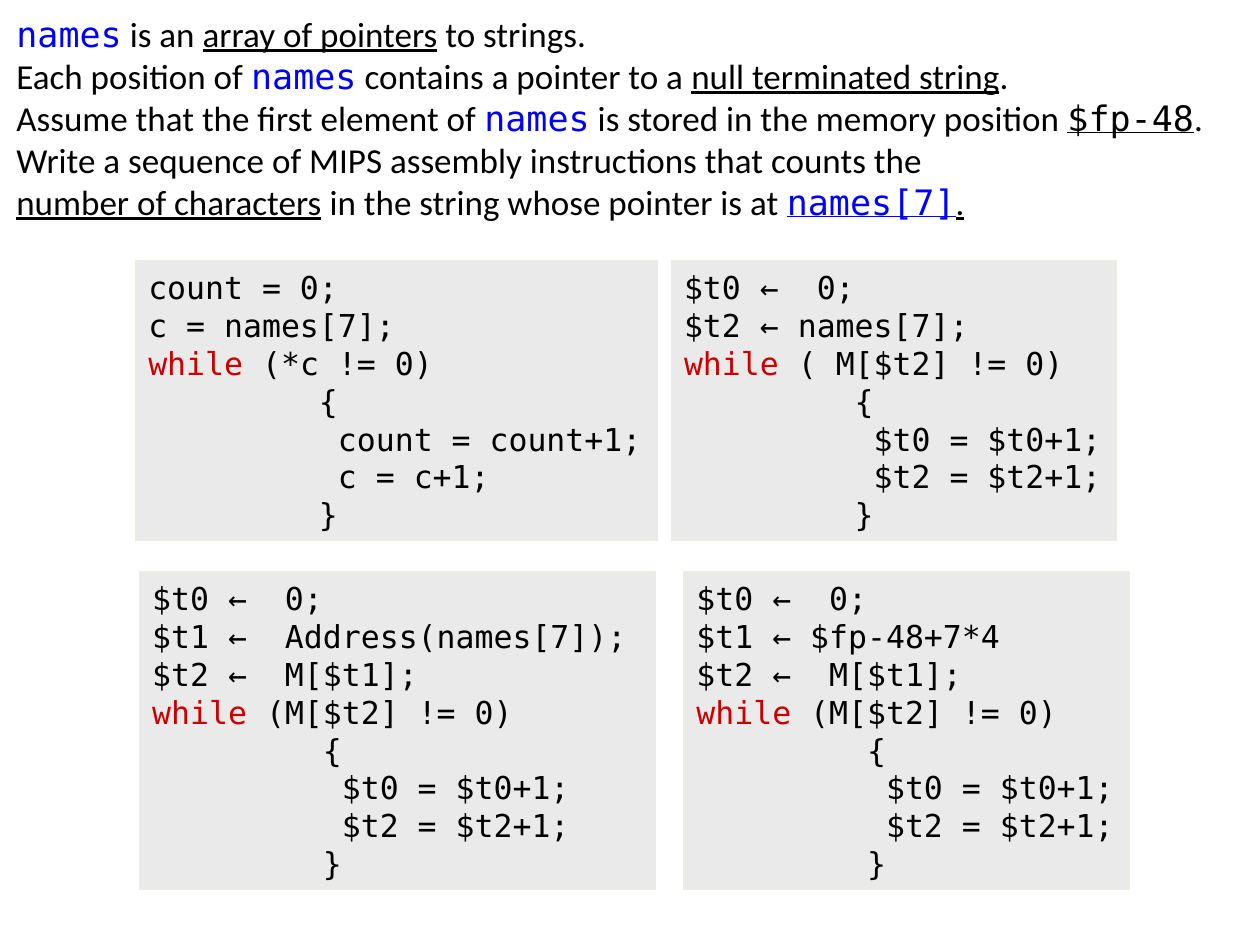
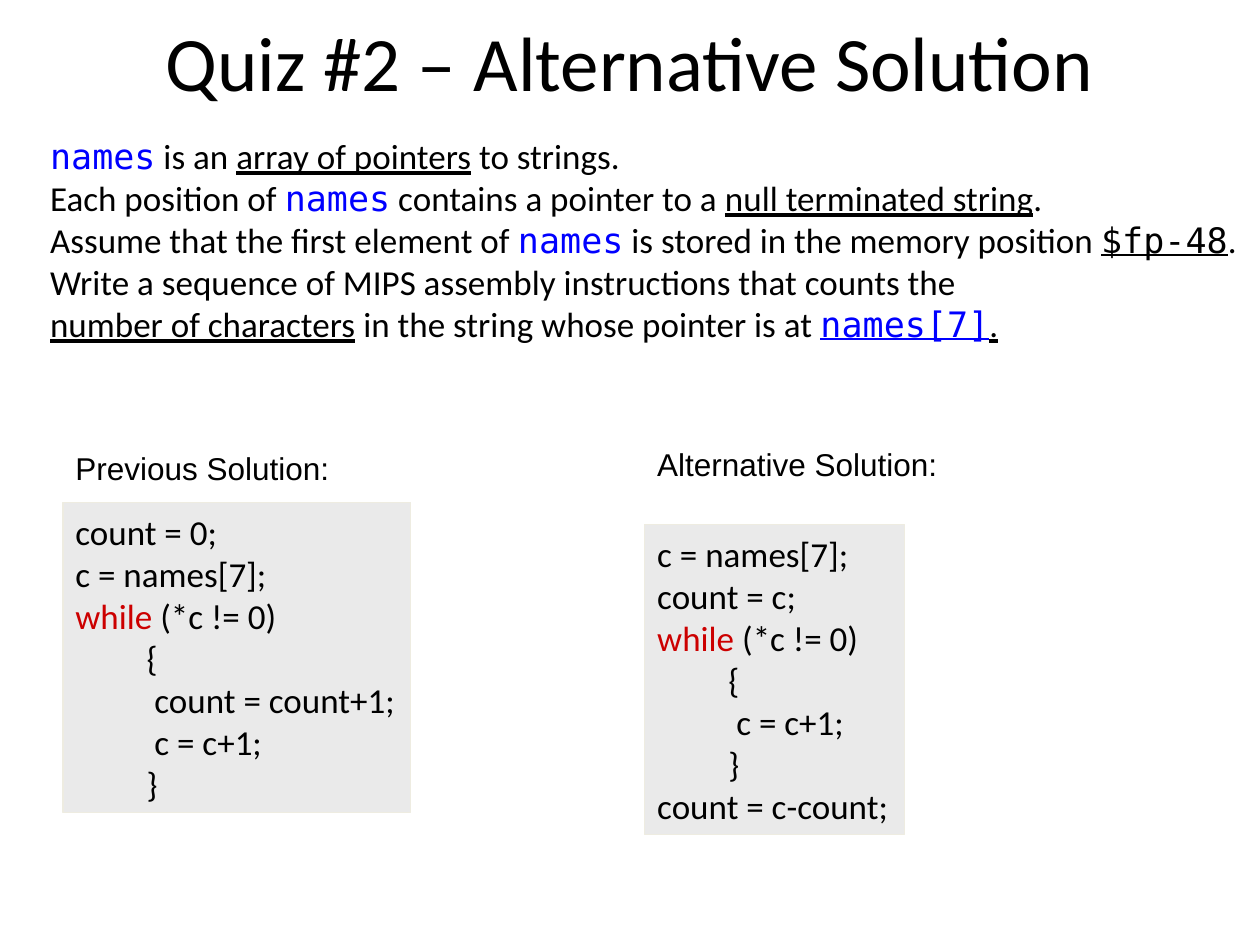
from pptx import Presentation
from pptx.dml.color import RGBColor
from pptx.enum.shapes import MSO_SHAPE
from pptx.enum.text import MSO_ANCHOR, MSO_AUTO_SIZE, PP_ALIGN
from pptx.util import Cm, Pt

BLACK = RGBColor(0x00, 0x00, 0x00)
BLUE = RGBColor(0x00, 0x00, 0xFF)
RED = RGBColor(0xCC, 0x00, 0x00)
PANEL_GREY = RGBColor(0xEA, 0xEA, 0xEA)
PANEL_EDGE = RGBColor(0xEE, 0xEC, 0xE1)
SANS, MONO, LABEL_FONT = "Calibri", "DejaVu Sans Mono", "Arial"

PLAIN = (SANS, BLACK, False)
STRESSED = (SANS, BLACK, True)
VARIABLE = (MONO, BLUE, False)
STRESSED_VARIABLE = (MONO, BLUE, True)
ADDRESS = (MONO, BLACK, True)

QUESTION = [
    [("names", VARIABLE), (" is an ", PLAIN), ("array of pointers", STRESSED),
     (" to strings.", PLAIN)],
    [("Each position of ", PLAIN), ("names", VARIABLE),
     (" contains a pointer to a ", PLAIN), ("null terminated string", STRESSED),
     (".", PLAIN)],
    [("Assume that the first element of ", PLAIN), ("names", VARIABLE),
     (" is stored in the memory position ", PLAIN), ("$fp-48", ADDRESS),
     (".", PLAIN)],
    [("Write a sequence of MIPS assembly instructions that counts the", PLAIN)],
    [("number of characters", STRESSED),
     (" in the string whose pointer is at ", PLAIN),
     ("names[7]", STRESSED_VARIABLE), (".", STRESSED)],
]

KEYWORD = "while"
OPEN, CLOSE = " " * 9 + "{", " " * 9 + "}"
BODY_INDENT = " " * 10


def loop(condition, *body):
    return [condition, OPEN, *(BODY_INDENT + step for step in body), CLOSE]


C_LOOP = loop("while (*c != 0)", "count = count+1;", "c = c+1;")
REGISTER_STEPS = ("$t0 = $t0+1;", "$t2 = $t2+1;")
REGISTER_LOOP = loop("while (M[$t2] != 0)", *REGISTER_STEPS)

C_CODE = ["count = 0;", "c = names[7];", *C_LOOP]
REGISTER_CODE = ["$t0 ←  0;", "$t2 ← names[7];",
                 *loop("while ( M[$t2] != 0)", *REGISTER_STEPS)]
ADDRESS_CODE = ["$t0 ←  0;", "$t1 ←  Address(names[7]);", "$t2 ←  M[$t1];",
                *REGISTER_LOOP]
OFFSET_CODE = ["$t0 ←  0;", "$t1 ← $fp-48+7*4", "$t2 ←  M[$t1];",
               *REGISTER_LOOP]
ALTERNATIVE_CODE = ["c = names[7];", "count = c;",
                    *loop("while (*c != 0)", "c = c+1;"), "count = c-count;"]

REFINEMENTS = [
    (5.26, 5.64, [(2.74, 10.52, C_CODE), (13.54, 8.97, REGISTER_CODE)]),
    (11.53, 6.4, [(2.82, 10.39, ADDRESS_CODE), (13.79, 8.97, OFFSET_CODE)]),
]
SOLUTIONS = [
    ("Previous Solution:", 1.27, 8.92, 5.69, 10.13, 7.01, C_CODE),
    ("Alternative Solution:", 13, 8.84, 6.25, 10.57, 5.23, ALTERNATIVE_CODE),
]
SOLUTION_HEIGHT = 6.25
TITLE = "Quiz #2 – Alternative Solution"


def fit_to_text(frame, anchor):
    frame.word_wrap = False
    frame.auto_size = MSO_AUTO_SIZE.SHAPE_TO_FIT_TEXT
    frame.vertical_anchor = anchor


def paragraphs(frame, lines):
    for number, line in enumerate(lines):
        yield (frame.add_paragraph() if number else frame.paragraphs[0]), line


def add_run(paragraph, text, color):
    run = paragraph.add_run()
    run.text = text
    run.font.color.rgb = color
    return run


def add_question(slide, left, top):
    question = slide.shapes.add_textbox(Cm(left), Cm(top), Cm(24.66), Cm(4.52))
    fit_to_text(question.text_frame, MSO_ANCHOR.MIDDLE)
    for paragraph, line in paragraphs(question.text_frame, QUESTION):
        paragraph.font.size = Pt(20)
        for text, (font, color, underlined) in line:
            run = add_run(paragraph, text, color)
            run.font.name = font
            run.font.underline = underlined


def add_code(slide, left, top, width, height, code, font, size):
    panel = slide.shapes.add_shape(
        MSO_SHAPE.RECTANGLE, Cm(left), Cm(top), Cm(width), Cm(height))
    panel.shadow.inherit = False
    panel.fill.solid()
    panel.fill.fore_color.rgb = PANEL_GREY
    panel.line.color.rgb = PANEL_EDGE
    panel.line.width = Pt(0.75)
    fit_to_text(panel.text_frame, MSO_ANCHOR.MIDDLE)
    for paragraph, line in paragraphs(panel.text_frame, code):
        hanging = paragraph._p.get_or_add_pPr()
        hanging.set("marL", str(Cm(1.27)))
        hanging.set("indent", str(-Cm(1.27)))
        paragraph.alignment = PP_ALIGN.LEFT
        paragraph.font.name = font
        paragraph.font.size = Pt(size)
        if line.startswith(KEYWORD):
            add_run(paragraph, KEYWORD, RED)
            line = line.removeprefix(KEYWORD)
        add_run(paragraph, line, BLACK)


def add_label(slide, text, left, top, width):
    label = slide.shapes.add_textbox(Cm(left), Cm(top), Cm(width), Cm(1.02))
    fit_to_text(label.text_frame, MSO_ANCHOR.TOP)
    paragraph = label.text_frame.paragraphs[0]
    paragraph.text = text
    paragraph.font.name = LABEL_FONT
    paragraph.font.size = Pt(18)
    paragraph.font.color.rgb = BLACK


def add_title(slide):
    title = slide.shapes.title
    title.left, title.top = Cm(1.27), Cm(-0.36)
    title.width, title.height = Cm(22.86), Cm(3.18)
    title.text_frame.vertical_anchor = MSO_ANCHOR.MIDDLE
    paragraph = title.text_frame.paragraphs[0]
    paragraph.text = TITLE
    paragraph.alignment = PP_ALIGN.CENTER
    paragraph.font.name = SANS
    paragraph.font.size = Pt(44)
    paragraph.font.color.rgb = BLACK


def main():
    deck = Presentation()
    deck.slide_width, deck.slide_height = Cm(25.4), Cm(19.05)
    title_only, blank = deck.slide_layouts[5], deck.slide_layouts[6]

    refinement = deck.slides.add_slide(blank)
    add_question(refinement, 0.08, 0.1)
    for top, height, row in REFINEMENTS:
        for left, width, code in row:
            add_code(refinement, left, top, width, height, code, MONO, 18)

    comparison = deck.slides.add_slide(title_only)
    add_title(comparison)
    add_question(comparison, 0.76, 2.57)
    for label, left, label_top, label_width, top, width, code in SOLUTIONS:
        add_label(comparison, label, left, label_top, label_width)
        add_code(comparison, left, top, width, SOLUTION_HEIGHT, code, SANS, 20)

    deck.save("out.pptx")


if __name__ == "__main__":
    main()
